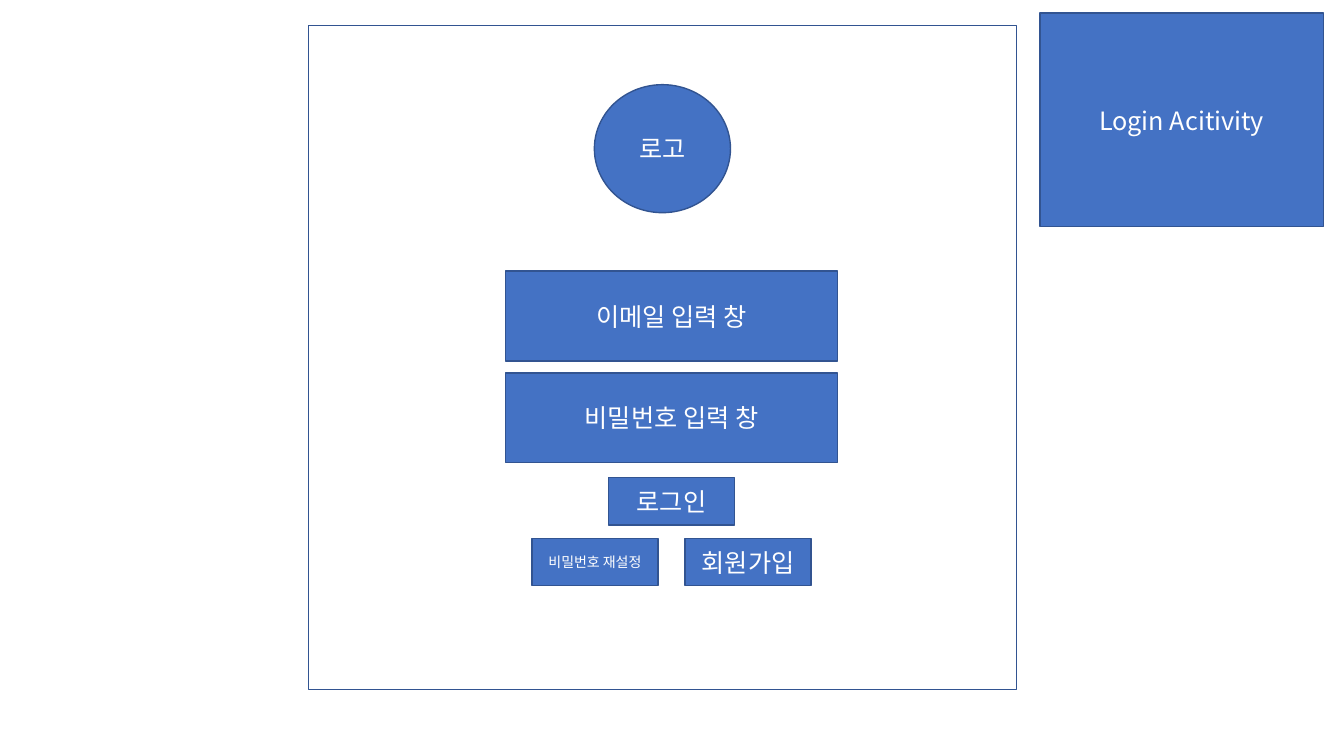
"""Build the wireframe slide of a login screen."""
from lxml import etree
from pptx import Presentation, util as u
from pptx.dml.color import RGBColor
from pptx.enum import shapes, text
from pptx.oxml import ns

FONT = "Noto Sans CJK KR"
BLUE, EDGE, WHITE = "4472C4", "325491", "FFFFFF"
RECT, OVAL = shapes.MSO_SHAPE.RECTANGLE, shapes.MSO_SHAPE.OVAL

FRAME_CENTER, FORM_CENTER, PAIR_OFFSET = 6.57, 6.66, 0.76
FRAME, LOGO, FIELD, BUTTON, LABEL = (7.02, 6.59), (1.35, 1.27), (3.29, 0.89), (1.25, 0.47), (2.81, 2.12)
PAIR_TOP = 5.34

PARTS = [
    ("", RECT, FRAME_CENTER, 0.25, FRAME, WHITE, 18),
    ("로고", OVAL, FRAME_CENTER, 0.84, LOGO, BLUE, 18),
    ("이메일 입력 창", RECT, FORM_CENTER, 2.69, FIELD, BLUE, 18),
    ("비밀번호 입력 창", RECT, FORM_CENTER, 3.7, FIELD, BLUE, 18),
    ("회원가입", RECT, FORM_CENTER + PAIR_OFFSET, PAIR_TOP, BUTTON, BLUE, 18),
    ("비밀번호 재설정", RECT, FORM_CENTER - PAIR_OFFSET, PAIR_TOP, BUTTON, BLUE, 10),
    ("Login Acitivity", RECT, 11.72, 0.13, LABEL, BLUE, 18),
    ("로그인", RECT, FORM_CENTER, 4.74, BUTTON, BLUE, 18),
]


def color(value):
    """Turn a hex string into a colour."""
    return RGBColor.from_string(value)


def write(box, words, size):
    """Put one centred line of white text into a box."""
    frame = box.text_frame
    frame.vertical_anchor = text.MSO_ANCHOR.MIDDLE
    para = frame.paragraphs[0]
    para.alignment = text.PP_ALIGN.CENTER
    span = para.add_run()
    span.text = words
    span.font.color.rgb = color(WHITE)
    for name, value in {"name": FONT, "size": u.Pt(size)}.items():
        setattr(span.font, name, value)
    etree.SubElement(span._r.get_or_add_rPr(), ns.qn("a:ea"), typeface=FONT)


def draw(page, words, kind, center, top, extent, fill, size):
    """Add one outlined shape centred on a vertical axis."""
    width, height = extent
    place = (center - width / 2, top, width, height)
    box = page.shapes.add_shape(kind, *map(u.Inches, place))
    box.shadow.inherit = False
    box.fill.solid()
    box.fill.fore_color.rgb = color(fill)
    box.line.color.rgb = color(EDGE)
    box.line.width = u.Pt(1)
    if words:
        write(box, words, size)


deck = Presentation()
for name, value in {"slide_width": 13.33, "slide_height": 7.5}.items():
    setattr(deck, name, u.Inches(value))
page = deck.slides.add_slide(deck.slide_layouts[6])
for part in PARTS:
    draw(page, *part)
deck.save("out.pptx")
